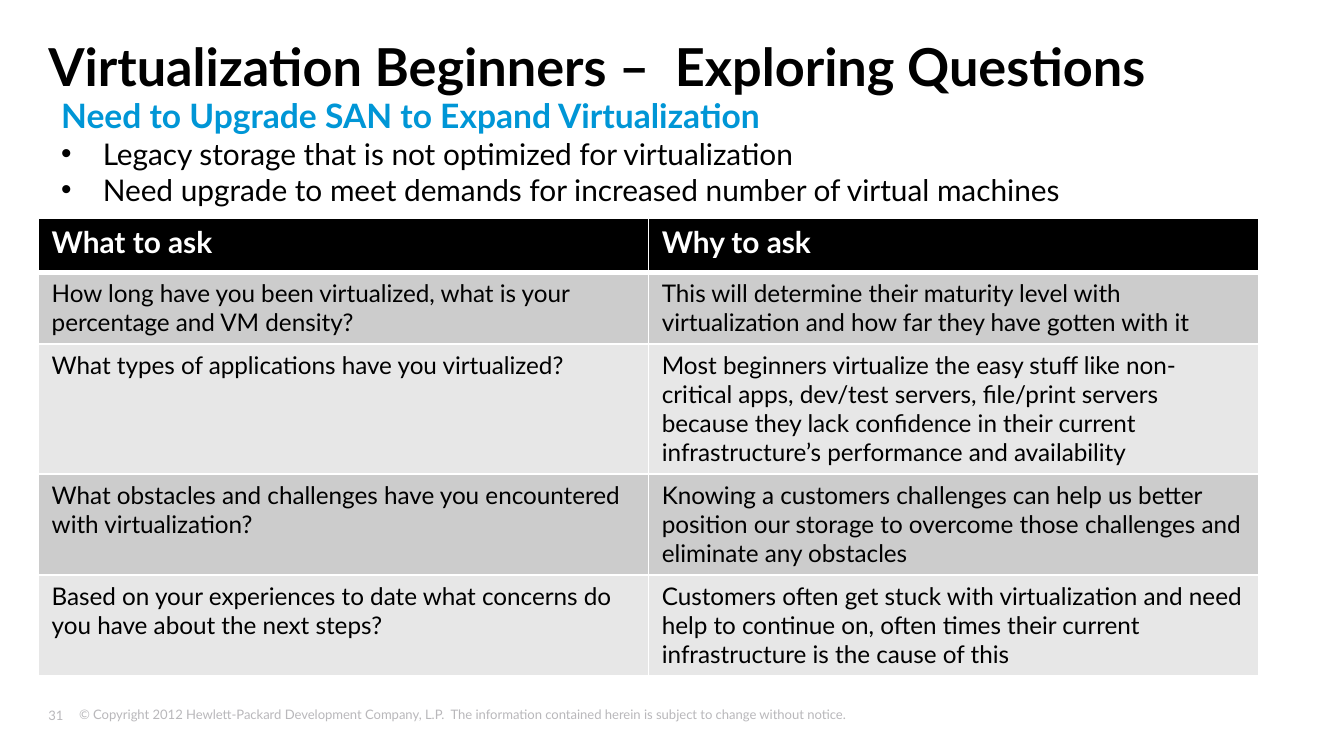
from dataclasses import dataclass
from typing import Any

from lxml.etree import SubElement
from pptx import Presentation
from pptx.dml.color import RGBColor
from pptx.enum.text import MSO_ANCHOR, MSO_AUTO_SIZE, PP_ALIGN
from pptx.oxml.ns import qn
from pptx.util import Pt

PX = 4572
BULLET_INDENT = 62
QUESTIONS = [
    ("What to ask", "Why to ask"),
    ("How long have you been virtualized, what is your percentage and VM density?",
     "This will determine their maturity level with virtualization and how far they have gotten with it"),
    ("What types of applications have you virtualized?",
     "Most beginners virtualize the easy stuff like non-critical apps, dev/test servers, file/print servers "
     "because they lack confidence in their current infrastructure’s performance and availability"),
    ("What obstacles and challenges have you encountered with virtualization?",
     "Knowing a customers challenges can help us better position our storage to overcome those challenges "
     "and eliminate any obstacles"),
    ("Based on your experiences to date what concerns do you have about the next steps?",
     "Customers often get stuck with virtualization and need help to continue on, often times their current "
     "infrastructure is the cause of this"),
]


def color(value):
    return RGBColor.from_string(value)


def write(paragraph, text, size=13, fill="000000", bold=False, font="Lato"):
    paragraph.alignment = PP_ALIGN.LEFT
    paragraph.space_before = Pt(0)
    run = paragraph.add_run()
    run.text = text
    run.font.name = font
    run.font.size = Pt(size)
    run.font.bold = bold
    run.font.color.rgb = color(fill)


def place(shape, left, top, width, height):
    shape.left, shape.top = left * PX, top * PX
    shape.width, shape.height = width * PX, height * PX


def set_margins(frame, left, top, right, bottom):
    frame.margin_left, frame.margin_top = left * PX, top * PX
    frame.margin_right, frame.margin_bottom = right * PX, bottom * PX


@dataclass
class SlideBuilder:
    """Style and drawing methods for the current slide."""

    slide: Any
    ink: str = "000000"
    paper: str = "FFFFFF"
    accent: str = "0096D6"
    muted: str = "B9B8BB"
    bands: tuple = ("CCCCCC", "E7E7E7")

    def placeholder(self, shape, box):
        place(shape, *box)
        frame = shape.text_frame
        frame.auto_size = MSO_AUTO_SIZE.NONE
        frame.vertical_anchor = MSO_ANCHOR.TOP
        frame.word_wrap = True
        set_margins(frame, 0, 0, 0, 0)
        return frame

    def title(self, text, box):
        frame = self.placeholder(self.slide.shapes.title, box)
        write(frame.paragraphs[0], text, size=28, fill=self.ink, bold=True)

    def body(self, heading, bullets, box):
        frame = self.placeholder(self.slide.placeholders[1], box)
        paragraph = frame.paragraphs[0]
        self.bullet(paragraph, "", 0)
        write(paragraph, heading, size=18, fill=self.accent, bold=True)
        for text in bullets:
            paragraph = frame.add_paragraph()
            paragraph.level = 1
            self.bullet(paragraph, "•", BULLET_INDENT)
            write(paragraph, text, size=16, fill=self.ink)

    def bullet(self, paragraph, mark, indent):
        properties = paragraph._p.get_or_add_pPr()
        properties.set("marL", str(indent * PX))
        properties.set("indent", str(-indent * PX))
        if mark:
            SubElement(properties, qn("a:buChar"), char=mark)
        else:
            SubElement(properties, qn("a:buNone"))

    def table(self, rows, left, top, column_width, row_height):
        columns = len(rows[0])
        shape = self.slide.shapes.add_table(
            len(rows), columns, left * PX, top * PX,
            columns * column_width * PX, len(rows) * row_height * PX)
        table = shape.table
        table.horz_banding = False
        for row_index, row in enumerate(rows):
            header = row_index == 0
            fill = self.ink if header else self.bands[(row_index - 1) % 2]
            for column_index, text in enumerate(row):
                cell = table.cell(row_index, column_index)
                self.borders(cell, top=3 if row_index == 1 else 1, bottom=3 if header else 1)
                cell.fill.solid()
                cell.fill.fore_color.rgb = color(fill)
                write(cell.text_frame.paragraphs[0], text, size=16 if header else 13,
                      fill=self.paper if header else self.ink, bold=header)

    def borders(self, cell, top, bottom):
        properties = cell._tc.get_or_add_tcPr()
        for side, width in (("L", 1), ("R", 1), ("T", top), ("B", bottom)):
            line = SubElement(properties, qn(f"a:ln{side}"), w=str(Pt(width)))
            solid = SubElement(line, qn("a:solidFill"))
            SubElement(solid, qn("a:srgbClr"), val=self.paper)

    def footer(self, text, box, margins=(20, 10, 20, 10), wrap=True, anchor=MSO_ANCHOR.TOP):
        shape = self.slide.shapes.add_textbox(0, 0, 0, 0)
        place(shape, *box)
        frame = shape.text_frame
        frame.word_wrap = wrap
        frame.vertical_anchor = anchor
        set_margins(frame, *margins)
        write(frame.paragraphs[0], text, size=7, fill=self.muted)


def main():
    presentation = Presentation()
    presentation.slide_width, presentation.slide_height = 2000 * PX, 1125 * PX
    builder = SlideBuilder(presentation.slides.add_slide(presentation.slide_layouts[1]))
    builder.footer(
        "© Copyright 2012 Hewlett-Packard Development Company, L.P.  "
        "The information contained herein is subject to change without notice.",
        (98, 1041, 1752, 50))
    builder.footer("31", (72, 1049, 70, 32), margins=(0, 10, 20, 10), wrap=False, anchor=MSO_ANCHOR.MIDDLE)
    builder.table(QUESTIONS, left=57, top=324, column_width=908, row_height=81)
    builder.title("Virtualization Beginners –  Exploring Questions", (72, 51, 1776, 94))
    builder.body(
        "Need to Upgrade SAN to Expand Virtualization",
        ["Legacy storage that is not optimized for virtualization",
         "Need upgrade to meet demands for increased number of virtual machines"],
        (91, 142, 1776, 704))
    presentation.save("out.pptx")


if __name__ == "__main__":
    main()
